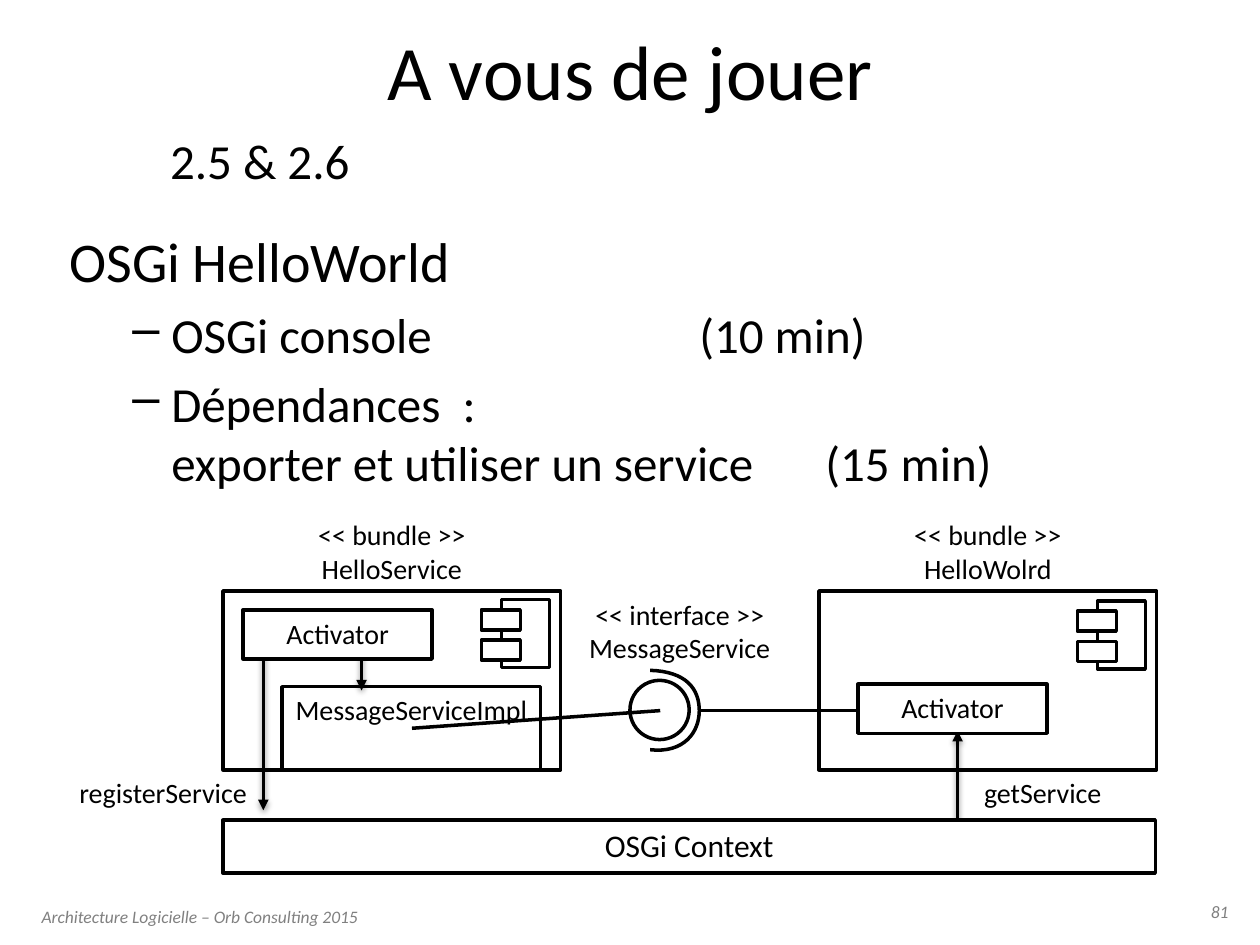
from pptx import Presentation
from pptx.dml.color import RGBColor
from pptx.enum.shapes import MSO_CONNECTOR, MSO_SHAPE
from pptx.enum.text import MSO_ANCHOR, PP_ALIGN
from pptx.oxml.ns import qn
from pptx.util import Inches, Pt
from lxml.etree import SubElement

BLACK = RGBColor(0, 0, 0)
WHITE = RGBColor(255, 255, 255)
GRAY = RGBColor(128, 128, 128)
LEFT, MID, RIGHT = PP_ALIGN.LEFT, PP_ALIGN.CENTER, PP_ALIGN.RIGHT

deck = Presentation()
deck.slide_width, deck.slide_height = Inches(10), Inches(7.5)
slide = deck.slides.add_slide(deck.slide_layouts[6])
shapes = slide.shapes


def write(item, text, size, align=MID, color=BLACK):
    frame = item.text_frame
    frame.word_wrap = True
    frame.vertical_anchor = MSO_ANCHOR.TOP
    frame.margin_left = frame.margin_right = Inches(0.05)
    frame.margin_top = frame.margin_bottom = Inches(0.05)
    frame.text = text
    for para in frame.paragraphs:
        para.alignment = align
        para.font.name = "Calibri"
        para.font.size = Pt(size)
        para.font.color.rgb = color
        para.font.italic = color == GRAY
    return frame


def draw(x, y, w, h, kind=MSO_SHAPE.RECTANGLE):
    item = shapes.add_shape(kind, Inches(x), Inches(y), Inches(w), Inches(h))
    item.shadow.inherit = False
    item.fill.solid()
    item.fill.fore_color.rgb = WHITE
    item.line.color.rgb = BLACK
    item.line.width = Pt(2)
    return item


for x, y, w, h, text, size, align, color in [
    (0.28, 7.14, 2.91, 0.41, "Architecture Logicielle – Orb Consulting 2015", 10, LEFT, GRAY),
    (9.3, 7.1, 0.5, 0.25, "81", 10, RIGHT, GRAY),
    (1.3, 0.99, 1.73, 0.54, "2.5 & 2.6", 28, LEFT, BLACK),
    (0.2, 6.11, 1.81, 0.36, "registerService", 16, RIGHT, BLACK),
    (7.76, 6.11, 1.81, 0.36, "getService", 16, LEFT, BLACK),
]:
    box = shapes.add_textbox(Inches(x), Inches(y), Inches(w), Inches(h))
    write(box, text, size, align, color)

title = shapes.add_textbox(Inches(0.5), Inches(-0.07), Inches(9), Inches(1.25))
write(title, "A vous de jouer", 44).vertical_anchor = MSO_ANCHOR.MIDDLE

body = shapes.add_textbox(Inches(0.5), Inches(1.75), Inches(9), Inches(2.3))
frame = write(body, "OSGi HelloWorld", 32, LEFT)
for text in [
    "OSGi console\t\t\t\t\t(10 min)",
    "Dépendances  :\vexporter et utiliser un service\t\t(15 min)",
]:
    para = frame.add_paragraph()
    para.text = text
    para.space_before = Pt(6)
    props = para._p.get_or_add_pPr()
    props.set("marL", str(Inches(0.81)))
    props.set("indent", str(Inches(-0.31)))
    SubElement(props, qn("a:buChar")).set("char", "–")
    para.font.name = "Calibri"
    para.font.size = Pt(28)
    para.font.color.rgb = BLACK

for x, top, name in [(1.77, 4.76, "HelloService"), (6.5, 4.77, "HelloWolrd")]:
    draw(x, 4.69, 2.68, 1.42)
    draw(x + 2.21, top, 0.38, 0.54)
    for gap in (0.08, 0.32):
        draw(x + 2.05, top + gap, 0.31, 0.16)
    label = shapes.add_textbox(Inches(x), Inches(4.06), Inches(2.68), Inches(0.63))
    write(label, "<< bundle >>\n" + name, 16)

write(draw(2.24, 5.45, 2.05, 0.66), "MessageServiceImpl", 16)
draw(5, 5.4, 0.47, 0.47, MSO_SHAPE.OVAL)
port = draw(4.53, 4.69, 1.73, 0.63)
port.line.fill.background()
write(port, "<< interface >>\nMessageService", 16)

for x1, y1, x2, y2, arrow in [
    (3.27, 5.78, 5.24, 5.64, False),
    (5.55, 5.64, 6.81, 5.64, False),
    (2.87, 5.17, 2.87, 5.48, True),
    (2.09, 5.09, 2.09, 6.43, True),
    (7.6, 6.58, 7.6, 5.8, True),
]:
    link = shapes.add_connector(
        MSO_CONNECTOR.STRAIGHT, Inches(x1), Inches(y1), Inches(x2), Inches(y2)
    )
    link.line.color.rgb = BLACK
    link.line.width = Pt(2)
    if arrow:
        SubElement(link.line._get_or_add_ln(), qn("a:tailEnd")).set("type", "triangle")
    else:
        SubElement(link._element.spPr, qn("a:effectLst"))

write(draw(1.93, 4.84, 1.5, 0.39), "Activator", 16)
write(draw(6.81, 5.43, 1.5, 0.39), "Activator", 16)
write(draw(1.77, 6.51, 7.4, 0.42), "OSGi Context", 18)

curves = [
    [(5.16, 5.95), (5.43, 5.98), (5.55, 5.81), (5.55, 5.64)],
    [(5.55, 5.64), (5.55, 5.47), (5.45, 5.33), (5.16, 5.32)],
]
dots = []
for curve in curves:
    for step in range(17):
        t = step / 16
        parts = ((1 - t) ** 3, 3 * t * (1 - t) ** 2, 3 * t * t * (1 - t), t ** 3)
        dots.append(tuple(Inches(sum(k * v for k, v in zip(parts, axis))) for axis in zip(*curve)))
pen = shapes.build_freeform(*dots[0])
pen.add_line_segments(dots[1:], close=False)
socket = pen.convert_to_shape()
socket.shadow.inherit = False
socket.fill.background()
socket.line.color.rgb = BLACK
socket.line.width = Pt(2)

deck.save("out.pptx")
